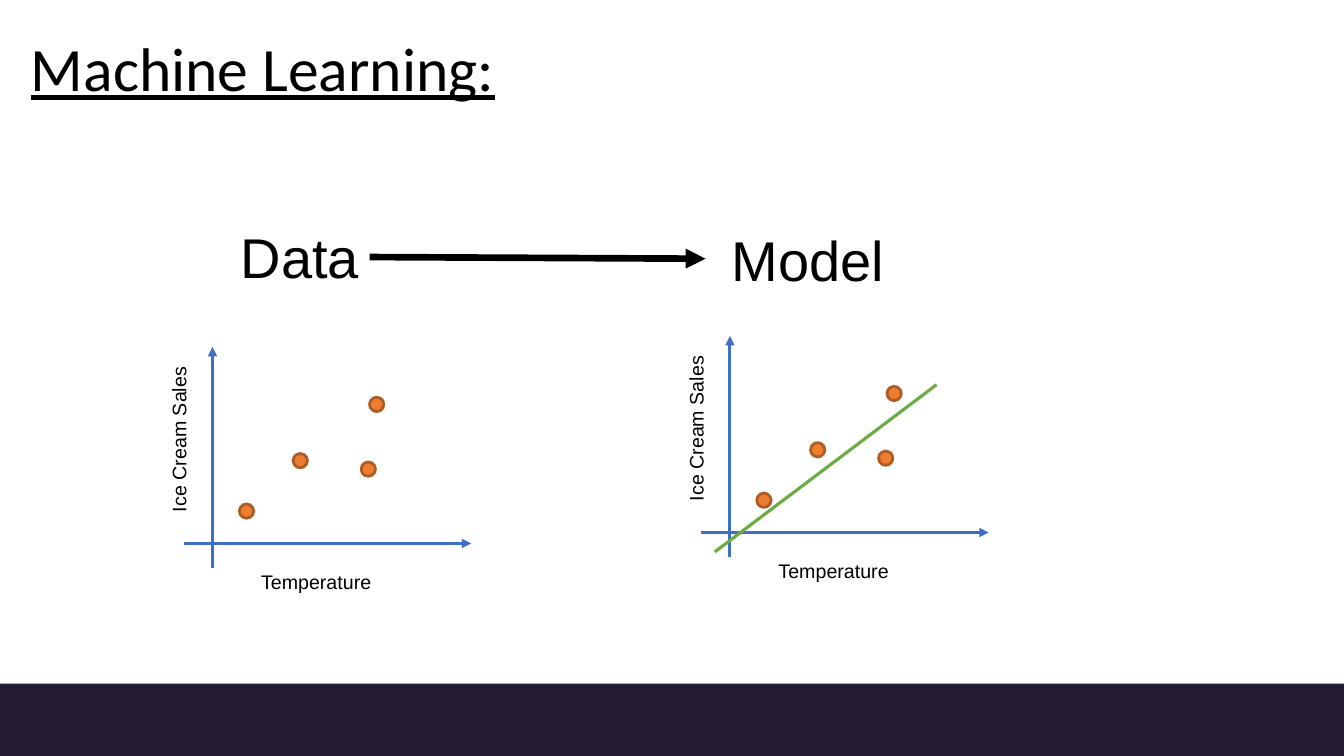
from typing import NamedTuple

from lxml.etree import SubElement
from pptx import Presentation
from pptx.dml.color import RGBColor
from pptx.enum.shapes import MSO_CONNECTOR, MSO_SHAPE
from pptx.enum.text import MSO_ANCHOR, MSO_AUTO_SIZE
from pptx.oxml.ns import qn
from pptx.util import Inches, Pt

COLUMNS, ROWS = 160, 90
CELL = Inches(1 / 12)

BLACK = RGBColor(0x00, 0x00, 0x00)
WHITE = RGBColor(0xFF, 0xFF, 0xFF)
BAND = RGBColor(0x23, 0x1C, 0x34)
AXIS = RGBColor(0x3F, 0x6F, 0xC3)
DOT = RGBColor(0xED, 0x7D, 0x31)
DOT_EDGE = RGBColor(0xAF, 0x5C, 0x24)
TREND = RGBColor(0x6D, 0xAC, 0x43)


class Point(NamedTuple):
    column: float
    row: float

    def shifted(self, origin: "Point") -> "Point":
        return Point(self.column + origin.column, self.row + origin.row)


class Label(NamedTuple):
    text: str
    corner: Point
    width: float
    height: float
    size: float
    font: str = "Arial"
    rotation: float = 0


class Line(NamedTuple):
    start: Point
    end: Point
    color: RGBColor
    weight: float
    arrow: bool = True


class Plot(NamedTuple):
    origin: Point
    has_trend: bool


TITLE = Label("Machine Learning:", Point(2.5, 3.1), 85.9, 10.8, 44, "Calibri")
HEADINGS = (
    Label("Data", Point(27.5, 25.9), 16.7, 9.2, 40),
    Label("Model", Point(85.9, 26.2), 20.8, 9.2, 40),
)
HEADING_ARROW = Line(Point(44, 30.6), Point(84, 30.8), BLACK, 4.75)

# Everything in a plot is measured from the crossing of its axes.
AXES = (
    Line(Point(0, 2.9), Point(0, -23.4), AXIS, 2.25),
    Line(Point(-3.4, 0), Point(30.8, 0), AXIS, 2.25),
)
AXIS_LABELS = (
    Label("Temperature", Point(4.6, 2.6), 15.8, 4.1, 14),
    Label("Ice Cream Sales", Point(-13.9, -14.5), 19.8, 4.1, 14, rotation=270),
)
DOT_SIZE = 1.7
DOTS = (Point(3.2, -4.7), Point(9.6, -10.7), Point(17.7, -9.7), Point(18.7, -17.4))
TREND_LINE = Line(Point(-1.8, 2.3), Point(24.6, -17.6), TREND, 2.25, arrow=False)
PLOTS = (
    Plot(Point(25.3, 64.7), has_trend=False),
    Plot(Point(86.9, 63.4), has_trend=True),
)


def cells(count: float) -> int:
    return round(count * CELL)


def add_filled(page, kind: MSO_SHAPE, corner: Point, width: float, height: float,
               color: RGBColor):
    shape = page.shapes.add_shape(
        kind, cells(corner.column), cells(corner.row), cells(width), cells(height))
    shape.shadow.inherit = False
    shape.fill.solid()
    shape.fill.fore_color.rgb = color
    shape.line.fill.background()
    return shape


def add_label(page, label: Label):
    box = page.shapes.add_textbox(
        cells(label.corner.column), cells(label.corner.row),
        cells(label.width), cells(label.height))
    box.rotation = label.rotation
    frame = box.text_frame
    frame.text = label.text
    frame.word_wrap = False
    frame.auto_size = MSO_AUTO_SIZE.SHAPE_TO_FIT_TEXT
    font = frame.paragraphs[0].runs[0].font
    font.name = label.font
    font.size = Pt(label.size)
    font.color.rgb = BLACK
    return box


def add_title(page) -> None:
    frame = add_label(page, TITLE).text_frame
    frame.auto_size = MSO_AUTO_SIZE.NONE
    frame.word_wrap = True
    frame.vertical_anchor = MSO_ANCHOR.MIDDLE
    frame.margin_top = frame.margin_bottom = Inches(0.1)
    para = frame.paragraphs[0]
    para.line_spacing = 0.9
    para.runs[0].font.underline = True


def add_line(page, line: Line, origin: Point = Point(0, 0)) -> None:
    start, end = line.start.shifted(origin), line.end.shifted(origin)
    connector = page.shapes.add_connector(
        MSO_CONNECTOR.STRAIGHT, cells(start.column), cells(start.row),
        cells(end.column), cells(end.row))
    connector.line.color.rgb = line.color
    connector.line.width = Pt(line.weight)
    if line.arrow:
        SubElement(connector.line._get_or_add_ln(), qn("a:tailEnd"), type="triangle")
    SubElement(connector._element.spPr, qn("a:effectLst"))


def add_plot(page, plot: Plot) -> None:
    for axis in AXES:
        add_line(page, axis, plot.origin)
    for label in AXIS_LABELS:
        add_label(page, label._replace(corner=label.corner.shifted(plot.origin)))
    for dot in DOTS:
        shape = add_filled(page, MSO_SHAPE.OVAL, dot.shifted(plot.origin),
                           DOT_SIZE, DOT_SIZE, DOT)
        shape.line.color.rgb = DOT_EDGE
        shape.line.width = Pt(2)
    if plot.has_trend:
        add_line(page, TREND_LINE, plot.origin)


def main() -> None:
    deck = Presentation()
    deck.slide_width, deck.slide_height = cells(COLUMNS), cells(ROWS)
    page = deck.slides.add_slide(deck.slide_layouts[6])
    page.background.fill.solid()
    page.background.fill.fore_color.rgb = WHITE

    add_filled(page, MSO_SHAPE.RECTANGLE, Point(0, 81.4), COLUMNS, ROWS - 81.4, BAND)
    add_title(page)
    for heading in HEADINGS:
        add_label(page, heading)
    add_line(page, HEADING_ARROW)
    for plot in PLOTS:
        add_plot(page, plot)
    deck.save("out.pptx")


if __name__ == "__main__":
    main()
